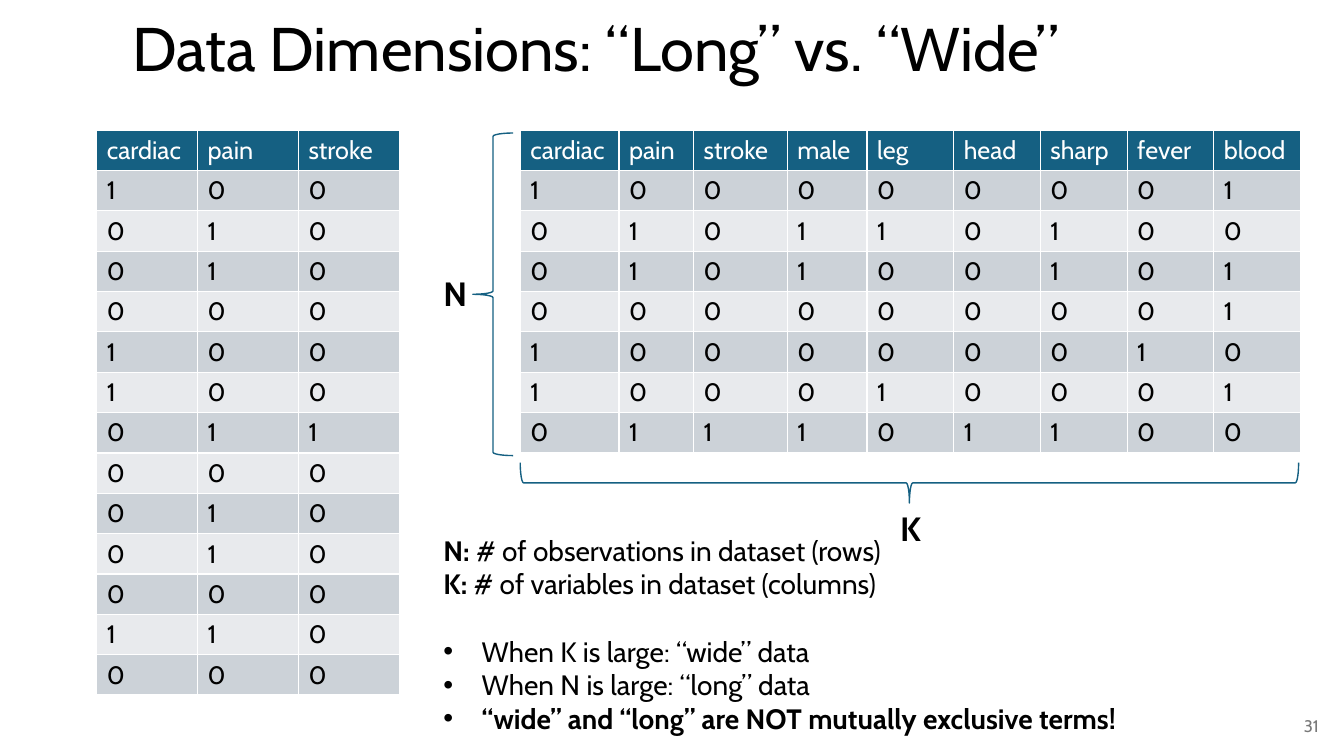
from dataclasses import dataclass

import pptx
import pptx.dml.color
import pptx.enum.shapes
import pptx.enum.text
import pptx.oxml.xmlchemy
import pptx.util
from lxml import etree
from pptx.enum.text import MSO_ANCHOR, MSO_AUTO_SIZE, PP_ALIGN

PX = 9144  # 100 px to the inch
FONT = "Cabin"

BLACK = pptx.dml.color.RGBColor(0x00, 0x00, 0x00)
WHITE = pptx.dml.color.RGBColor(0xFF, 0xFF, 0xFF)
GREY = pptx.dml.color.RGBColor(0x79, 0x79, 0x79)
TEAL = pptx.dml.color.RGBColor(0x15, 0x60, 0x82)
BAND_DARK = pptx.dml.color.RGBColor(0xCC, 0xD2, 0xD8)
BAND_LIGHT = pptx.dml.color.RGBColor(0xE8, 0xEA, 0xED)


@dataclass
class Box:
    left: int
    top: int
    width: int
    height: int

    def emu(self) -> tuple:
        return tuple(v * PX for v in (self.left, self.top, self.width, self.height))


@dataclass
class DataTable:
    box: Box
    row_height: int
    col_widths: list
    header: str
    rows: str  # one digit per cell, one word per row


@dataclass
class Brace:
    box: Box
    rotation: int
    label: str
    label_box: Box


@dataclass
class Note:
    bold: str
    plain: str
    bullet: bool = False
    space_before: int = 0


TABLES = [
    DataTable(Box(96, 129, 301, 590), 38, [100] * 3, "cardiac pain stroke",
              "100 010 010 000 100 100 011 000 010 010 000 110 000"),
    DataTable(Box(516, 129, 772, 350), 35, [98, 74, 93, 79] + [86] * 5,
              "cardiac pain stroke male leg head sharp fever blood",
              "100000001 010110100 010100101 000000001 100000010 100010001 011101100"),
]

BRACES = [
    Brace(Box(469, 132, 40, 320), 0, "N", Box(430, 266, 31, 50)),
    Brace(Box(882, 93, 40, 772), 270, "K", Box(883, 499, 33, 50)),
]

NOTES = [
    Note("N: ", "# of observations in dataset (rows)"),
    Note("K: ", "# of variables in dataset (columns)"),
    Note("", "When K is large: “wide” data", True, 24),
    Note("", "When N is large: “long” data", True),
    Note("“wide” and “long” are NOT mutually exclusive terms!", "", True),
]


def style_run(r, size: int, color: pptx.dml.color.RGBColor, bold: bool = False) -> None:
    r.font.name = FONT
    r.font.size = pptx.util.Pt(size)
    r.font.color.rgb = color
    r.font.bold = bold


def add_text_box(s, box: Box):
    tf = s.shapes.add_textbox(*box.emu()).text_frame
    tf.word_wrap = True
    return tf


def add_data_table(s, spec: DataTable) -> None:
    grid = [spec.header.split()] + [list(row) for row in spec.rows.split()]
    frame = s.shapes.add_table(len(grid), len(spec.col_widths), *spec.box.emu())
    table = frame.table
    for column, width in zip(table.columns, spec.col_widths):
        column.width = width * PX
    for i, values in enumerate(grid):
        table.rows[i].height = spec.row_height * PX
        band = TEAL if i == 0 else BAND_DARK if i % 2 else BAND_LIGHT
        for j, value in enumerate(values):
            cell = table.cell(i, j)
            cell.fill.solid()
            cell.fill.fore_color.rgb = band
            cell.text_frame.text = value
            style_run(cell.text_frame.paragraphs[0].runs[0], 18, BLACK if i else WHITE)
    frame.height = spec.box.height * PX


def add_brace(s, spec: Brace) -> None:
    sp = s.shapes.add_shape(pptx.enum.shapes.MSO_SHAPE.LEFT_BRACE, *spec.box.emu())
    sp.rotation = spec.rotation
    sp.shadow.inherit = False
    sp.fill.background()
    sp.line.color.rgb = TEAL
    sp.line.width = pptx.util.Pt(1)
    tf = add_text_box(s, spec.label_box)
    tf.auto_size = MSO_AUTO_SIZE.SHAPE_TO_FIT_TEXT
    tf.text = spec.label
    style_run(tf.paragraphs[0].runs[0], 24, BLACK, True)


def add_bullet(p) -> None:
    ppr = p._p.get_or_add_pPr()
    ppr.set("marL", str(38 * PX))
    ppr.set("indent", str(-38 * PX))
    for tag, name, value in (("buFont", "typeface", "Arial"), ("buChar", "char", "•")):
        etree.SubElement(ppr, pptx.oxml.ns.qn(f"a:{tag}")).set(name, value)


def add_notes(s, box: Box, notes: list) -> None:
    tf = add_text_box(s, box)
    tf.auto_size = MSO_AUTO_SIZE.SHAPE_TO_FIT_TEXT
    for i, note in enumerate(notes):
        p = tf.add_paragraph() if i else tf.paragraphs[0]
        p.space_before = pptx.util.Pt(note.space_before)
        if note.bullet:
            add_bullet(p)
        for text, bold in ((note.bold, True), (note.plain, False)):
            if text:
                r = p.add_run()
                r.text = text
                style_run(r, 20, BLACK, bold)


def main() -> None:
    prs = pptx.Presentation()
    prs.slide_width, prs.slide_height = 1333 * PX, 750 * PX
    s = prs.slides.add_slide(prs.slide_layouts[5])

    # Title
    title = s.shapes.title
    title.left, title.top, title.width, title.height = Box(121, 12, 1096, 79).emu()
    tf = title.text_frame
    tf.text = "Data Dimensions: “Long” vs. “Wide”"
    tf.vertical_anchor = MSO_ANCHOR.MIDDLE
    p = tf.paragraphs[0]
    p.alignment = PP_ALIGN.LEFT
    p.line_spacing = 0.9
    style_run(p.runs[0], 44, BLACK)

    # Slide number
    tf = add_text_box(s, Box(1258, 700, 60, 40))
    tf.text = "31"
    tf.vertical_anchor = MSO_ANCHOR.MIDDLE
    tf.paragraphs[0].alignment = PP_ALIGN.RIGHT
    style_run(tf.paragraphs[0].runs[0], 12, GREY)

    # Long and wide tables
    for table in TABLES:
        add_data_table(s, table)

    # Braces for rows and columns
    for brace in BRACES:
        add_brace(s, brace)

    # Definitions and bullets
    add_notes(s, Box(430, 524, 744, 212), NOTES)

    prs.save("out.pptx")


if __name__ == "__main__":
    main()
